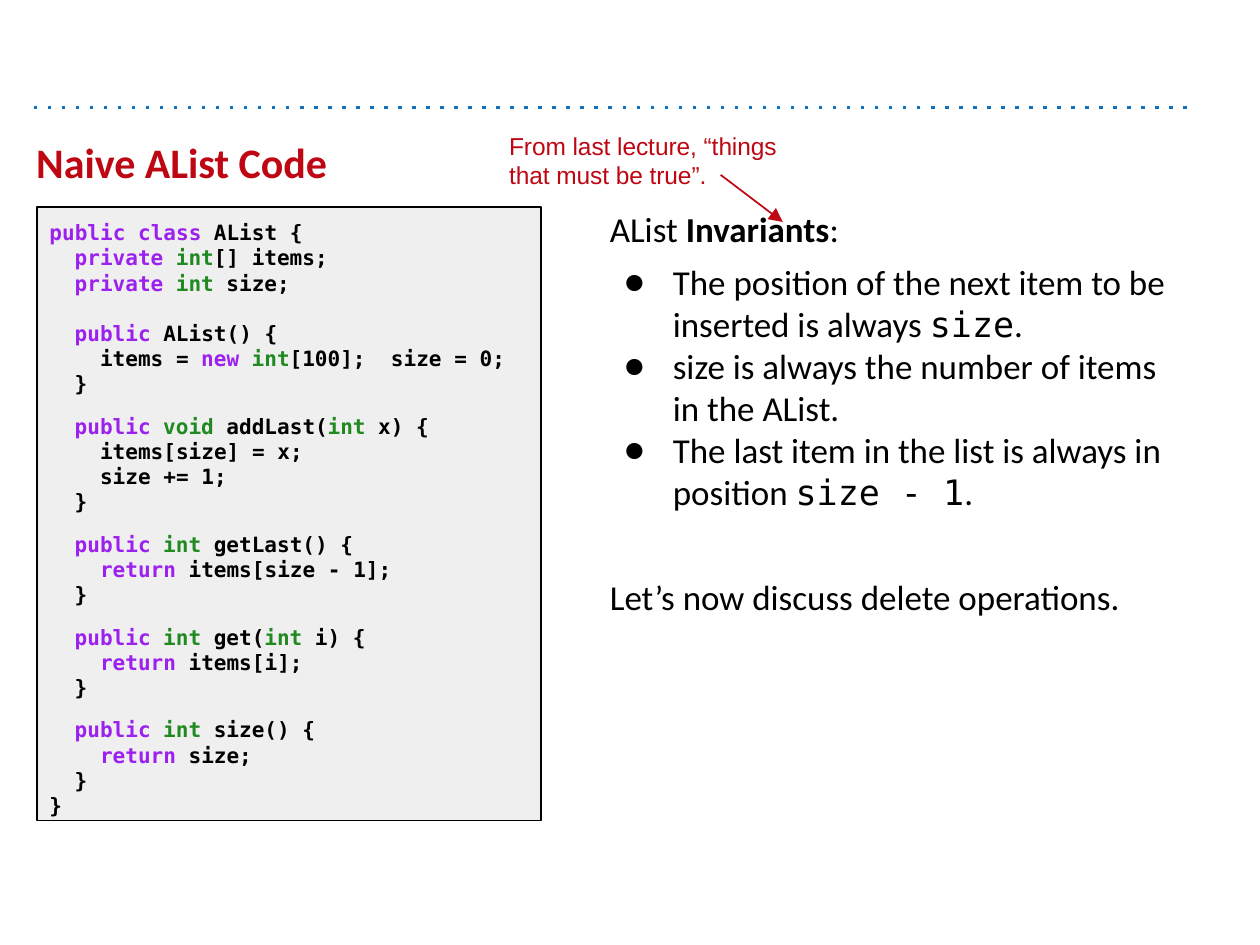
import pptx
import pptx.util
import pptx.dml.color
import pptx.enum.shapes
import pptx.enum.text
import pptx.oxml.ns
from lxml import etree

WIDTH = 7.5
HEIGHT = WIDTH * 3 / 4
RED, BLACK, PURPLE, GREEN = "BE0712", "000000", "9C20EE", "208920"
MONO, BODY = "DejaVu Sans Mono", "Calibri"
KEYWORDS = dict.fromkeys(["public class", "public", "private", "new", "return"], PURPLE)
KEYWORDS |= dict.fromkeys(["int", "void"], GREEN)
INDENT, GAP = 10.84, 7.3

CODE = [
    (0, 0, "public class| AList {"),
    (1, 0, "private| |int|[] items;"),
    (1, 0, "private| |int| size;"),
    (1, 10.7, "public| AList() {"),
    (2, 0, "items = |new| |int|[100];  size = 0;"),
    (1, 0, "}"),
    (1, GAP, "public| |void| addLast(|int| x) {"),
    (2, 0, "items[size] = x;"),
    (2, 0, "size += 1;"),
    (1, 0, "}"),
    (1, GAP, "public| |int| getLast() {"),
    (2, 0, "return| items[size - 1];"),
    (1, 0, "}"),
    (1, GAP, "public| |int| get(|int| i) {"),
    (2, 0, "return| items[i];"),
    (1, 0, "}"),
    (1, GAP, "public| |int| size() {"),
    (2, 0, "return| size;"),
    (1, 0, "}"),
    (0, 0, "}"),
]

INVARIANTS = [
    (4.5, [("The position of the next item to be inserted is always ", BODY),
           ("size", MONO), (".", BODY)]),
    (0, [("size is always the number of items in the AList.", BODY)]),
    (0, [("The last item in the list is always in position ", BODY),
         ("size - 1", MONO), (".", BODY)]),
]


def color(value):
    """Turn a hex string into a colour."""
    return pptx.dml.color.RGBColor.from_string(value)


def x(percent):
    """Return a share of the slide's width, in percent."""
    return pptx.util.Inches(WIDTH * percent / 100)


def y(percent):
    """Return a share of the slide's height, in percent."""
    return pptx.util.Inches(HEIGHT * percent / 100)


def add_element(parent, tag, **attributes):
    """Append a drawing element to its parent."""
    return etree.SubElement(parent, pptx.oxml.ns.qn(tag), attributes)


def prepare_frame(tf, anchor=pptx.enum.text.MSO_ANCHOR.TOP):
    """Set wrapping, insets and anchor of a text frame."""
    tf.word_wrap = True
    tf.vertical_anchor = anchor
    inset = pptx.util.Pt(5.4)
    tf.margin_left = tf.margin_top = tf.margin_right = tf.margin_bottom = inset
    return tf


def add_text_box(s, left, top, width, height, **options):
    """Add a text box and return its frame."""
    sp = s.shapes.add_textbox(x(left), y(top), x(width), y(height))
    return prepare_frame(sp.text_frame, **options)


def add_paragraph(tf, before=0, margin=0, bullet=None, hang=0):
    """Return a new paragraph, using the empty first one if it is free."""
    p = tf.paragraphs[0] if not tf.paragraphs[0].runs else tf.add_paragraph()
    p.alignment = pptx.enum.text.PP_ALIGN.LEFT
    p.space_before = pptx.util.Pt(before)
    pPr = p._p.get_or_add_pPr()
    pPr.set("marL", str(int(pptx.util.Pt(margin))))
    pPr.set("indent", str(-int(pptx.util.Pt(hang))))
    if bullet:
        add_element(add_element(pPr, "a:buClr"), "a:srgbClr", val=BLACK)
        add_element(pPr, "a:buFont", typeface=BODY)
        add_element(pPr, "a:buChar", char=bullet)
    return p


def add_run(p, text, size, font=BODY, fill=BLACK, bold=False):
    """Add one run of text to a paragraph."""
    r = p.add_run()
    r.text = text
    r.font.size = pptx.util.Pt(size)
    r.font.name = font
    r.font.bold = bold
    r.font.color.rgb = color(fill)


def add_line(s, start, end, stroke, width, tag, **style):
    """Add a straight line with one extra line style element."""
    kind = pptx.enum.shapes.MSO_CONNECTOR.STRAIGHT
    line = s.shapes.add_connector(kind, x(start[0]), y(start[1]), x(end[0]), y(end[1]))
    line.line.color.rgb = color(stroke)
    line.line.width = pptx.util.Pt(width)
    spPr = line._element.spPr
    add_element(spPr.find(pptx.oxml.ns.qn("a:ln")), tag, **style)
    add_element(spPr, "a:effectLst")


def add_code(s, left, top, width, height):
    """Add the code panel with coloured keywords."""
    kind = pptx.enum.shapes.MSO_SHAPE.RECTANGLE
    sp = s.shapes.add_shape(kind, x(left), y(top), x(width), y(height))
    sp.shadow.inherit = False
    sp.fill.solid()
    sp.fill.fore_color.rgb = color("EFEFEF")
    sp.line.color.rgb = color(BLACK)
    sp.line.width = pptx.util.Pt(0.75)
    tf = prepare_frame(sp.text_frame)
    for level, before, tokens in CODE:
        p = add_paragraph(tf, before, level * INDENT)
        for token in tokens.split("|"):
            add_run(p, token, 9, MONO, KEYWORDS.get(token, BLACK), True)


def add_invariants(s, left, top, width, height):
    """Add the list of invariants with its lead-in and closing line."""
    tf = add_text_box(s, left, top, width, height)
    p = add_paragraph(tf, 4.5)
    for text, bold in [("AList ", False), ("Invariants", True), (":", False)]:
        add_run(p, text, 15, bold=bold)
    for before, runs in INVARIANTS:
        p = add_paragraph(tf, before, 27, "●", 21)
        for text, font in runs:
            add_run(p, text, 15, font)
    add_run(add_paragraph(tf, 27), "Let’s now discuss delete operations.", 15)


def main():
    """Build the slide and save it."""
    prs = pptx.Presentation()
    prs.slide_width, prs.slide_height = x(100), y(100)
    s = prs.slides.add_slide(prs.slide_layouts[6])
    add_line(s, (2.67, 11.39), (94.93, 11.39), "1072BD", 1.5, "a:prstDash", val="dot")
    tf = add_text_box(s, 1.87, 13.8, 90, 7.3, anchor=pptx.enum.text.MSO_ANCHOR.BOTTOM)
    add_run(add_paragraph(tf), "Naive AList Code", 18, fill=RED, bold=True)
    add_code(s, 2.93, 21.89, 40, 64.95)
    add_invariants(s, 47.4, 20.64, 47.6, 60.68)
    add_line(s, (57.2, 18.51), (62.13, 23.49), RED, 0.75, "a:tailEnd", type="triangle")
    tf = add_text_box(s, 39.4, 12.5, 23.87, 7.3)
    add_run(add_paragraph(tf), "From last lecture, “things that must be true”.", 10.5, "Arial", RED)
    prs.save("out.pptx")


if __name__ == "__main__":
    main()
